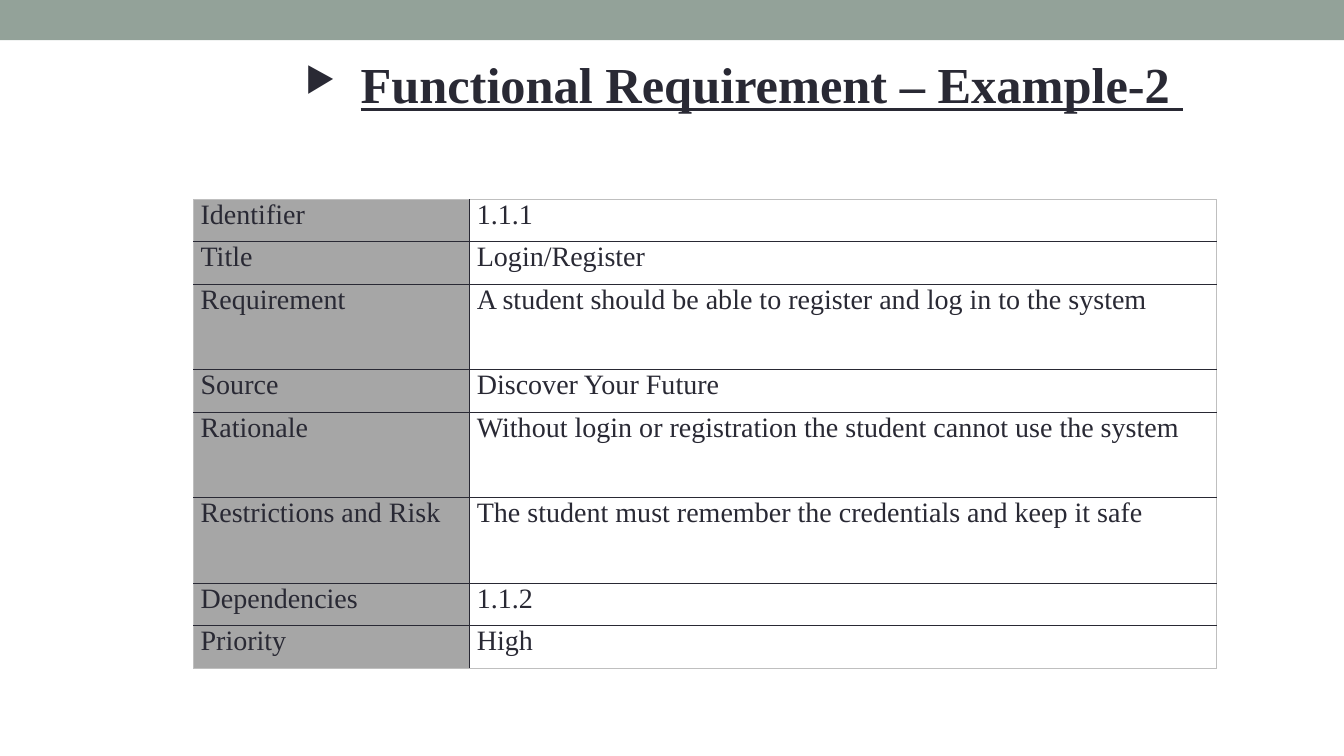
from lxml.etree import SubElement
from pptx import Presentation
from pptx.dml.color import RGBColor
from pptx.enum.shapes import MSO_SHAPE
from pptx.enum.text import MSO_ANCHOR, PP_ALIGN
from pptx.oxml import parse_xml
from pptx.oxml.ns import nsdecls, qn
from pptx.util import Inches, Pt

TITLE = "Functional Requirement – Example-2 "
ROWS = [
    ("Identifier", "1.1.1", 0.42),
    ("Title", "Login/Register", 0.42),
    ("Requirement", "A student should be able to register and log in to the system", 0.85),
    ("Source", "Discover Your Future", 0.42),
    ("Rationale", "Without login or registration the student cannot use the system", 0.85),
    ("Restrictions and Risk", "The student must remember the credentials and keep it safe", 0.85),
    ("Dependencies", "1.1.2", 0.42),
    ("Priority", "High", 0.42),
]
COLS = (2.74, 7.41)
COLORS = {"band": "93A299", "ink": "292934", "label": "A6A6A6", "edge": "BFBFBF"}
FONT = "Times New Roman"


def color(name):
    return RGBColor.from_string(COLORS[name])


def style(par, size, bold=None, line=None):
    for run in par.runs:
        font = run.font
        font.name, font.size = FONT, Pt(size)
        font.bold, font.underline = bold, line
        font.color.rgb = color("ink")


def add_bullet(par, char, size, indent):
    props = par._p.get_or_add_pPr()
    props.set("marL", str(Inches(indent)))
    props.set("indent", str(Inches(-indent)))
    tint = SubElement(props, qn("a:buClr"))
    SubElement(tint, qn("a:srgbClr"), val=COLORS["ink"])
    SubElement(props, qn("a:buSzPct"), val=str(size * 1000))
    SubElement(props, qn("a:buChar"), char=char)


def set_borders(cell, outer):
    """Draw ink lines inside the table and pale ones on its outer sides."""
    props = cell._tc.get_or_add_tcPr()
    for spot, side in enumerate("LRTB"):
        name, width = ("edge", 0.75) if side in outer else ("ink", 1)
        props.insert(spot, parse_xml(
            f'<a:ln{side} {nsdecls("a")} w="{Pt(width)}"><a:solidFill>'
            f'<a:srgbClr val="{COLORS[name]}"/></a:solidFill></a:ln{side}>'))


def add_title(slide):
    title = slide.shapes.title
    title.left, title.top = Inches(1.78), Inches(0.43)
    title.width, title.height = Inches(11.2), Inches(0.87)
    frame = title.text_frame
    frame.text = TITLE
    frame.word_wrap = True
    frame.vertical_anchor = MSO_ANCHOR.MIDDLE
    par = frame.paragraphs[0]
    par.alignment = PP_ALIGN.CENTER
    par.line_spacing = 0.9
    par.space_before = Pt(5)
    add_bullet(par, "▶", 68, 0.55)
    style(par, 36, True, True)


def add_grid(slide):
    high = sum(row[2] for row in ROWS)
    table = slide.shapes.add_table(
        len(ROWS), len(COLS), Inches(1.92), Inches(1.98),
        Inches(sum(COLS)), Inches(high)).table
    table.first_row = table.horz_banding = False
    for col, width in zip(table.columns, COLS):
        col.width = Inches(width)
    last = len(ROWS) - 1
    for r, (label, value, height) in enumerate(ROWS):
        table.rows[r].height = Inches(height)
        for c, text in enumerate((label, value)):
            cell = table.cell(r, c)
            cell.text = text
            cell.margin_left = cell.margin_right = Inches(0.07)
            cell.margin_top = cell.margin_bottom = 0
            style(cell.text_frame.paragraphs[0], 20)
            if c == 0:
                cell.fill.solid()
                cell.fill.fore_color.rgb = color("label")
            else:
                cell.fill.background()
            outer = "LR"[c] + ("T" if r == 0 else "B" if r == last else "")
            set_borders(cell, outer)


def main():
    deck = Presentation()
    deck.slide_width, deck.slide_height = Inches(13.33), Inches(7.5)
    slide = deck.slides.add_slide(deck.slide_layouts[5])
    band = slide.shapes.add_shape(MSO_SHAPE.RECTANGLE, 0, 0, deck.slide_width, Inches(0.4))
    band.shadow.inherit = False
    band.fill.solid()
    band.fill.fore_color.rgb = color("band")
    band.line.fill.background()
    add_grid(slide)
    add_title(slide)
    deck.save("out.pptx")


if __name__ == "__main__":
    main()
